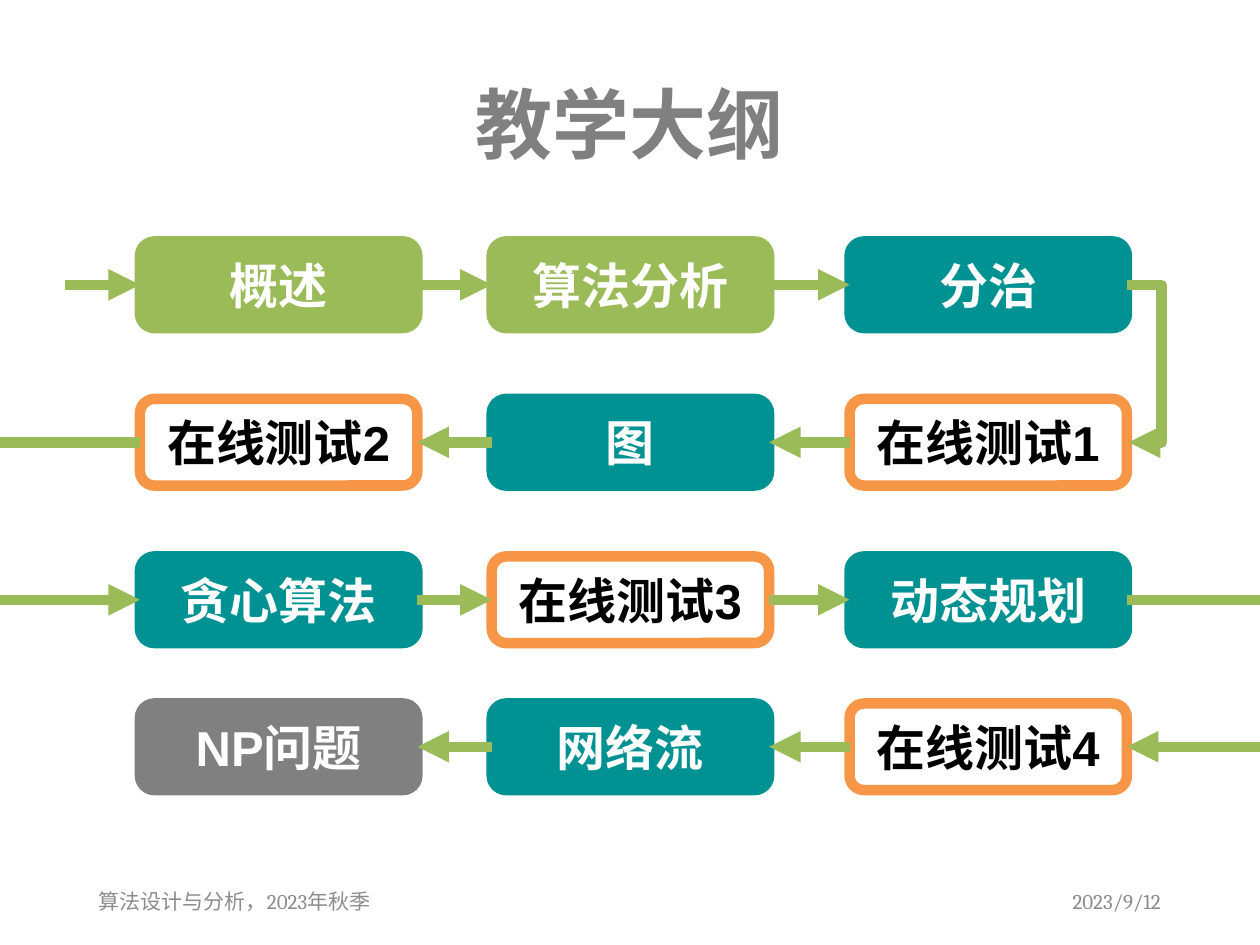
from lxml.etree import SubElement
from pptx import Presentation
from pptx.dml.color import RGBColor
from pptx.enum.shapes import MSO_CONNECTOR as CONN, MSO_SHAPE as SHAPE
from pptx.enum.text import MSO_ANCHOR as ANCHOR, PP_ALIGN as ALIGN
from pptx.oxml.ns import qn
from pptx.util import Emu, Pt

TITLE = "教学大纲"
FOOTERS = [
    ("2023/9/12", 508.5, 162, ALIGN.RIGHT),
    ("算法设计与分析，2023年秋季", 49.5, 432, ALIGN.LEFT),
]
STYLES = {
    "done": ("9BBB59", "9BBB59", "FFFFFF"),
    "topic": ("009193", "009193", "FFFFFF"),
    "last": ("808080", "808080", "FFFFFF"),
    "test": ("FFFFFF", "F79646", "000000"),
}
ROWS = [
    [("概述", "done"), ("算法分析", "done"), ("分治", "topic")],
    [("在线测试2", "test"), ("图", "topic"), ("在线测试1", "test")],
    [("贪心算法", "topic"), ("在线测试3", "test"), ("动态规划", "topic")],
    [("NP问题", "last"), ("网络流", "topic"), ("在线测试4", "test")],
]
TURNS = [(0, 2, Pt(1), 1987000), (1, 0, Emu(1), -22860000000), (2, 2, Emu(-1), -22860000000)]
COLS, TOPS = [80, 281, 485.5], [138, 228, 318, 402]
BOX_W, BOX_H, LINE_W = 158.5, 49.5, 6
ARROW = "9BBB59"
LEFT, RIGHT = 1, 3


def rgb(value):
    return RGBColor.from_string(value)


def write(sp, text, align, color, **font):
    tf = sp.text_frame
    tf.word_wrap = True
    tf.vertical_anchor = ANCHOR.MIDDLE
    p = tf.paragraphs[0]
    p.alignment = align
    r = p.add_run()
    r.text = text
    for name, value in font.items():
        setattr(r.font, name, value)
    r.font.color.rgb = rgb(color)
    return p


def add_box(shapes, text, style, x, y):
    fill, line, color = STYLES[style]
    sp = shapes.add_shape(SHAPE.ROUNDED_RECTANGLE, Pt(x), Pt(y), Pt(BOX_W), Pt(BOX_H))
    sp.shadow.inherit = False
    sp.fill.solid()
    sp.fill.fore_color.rgb = rgb(fill)
    sp.line.color.rgb = rgb(line)
    sp.line.width = Pt(LINE_W)
    write(sp, text, ALIGN.CENTER, color, size=Pt(28), name="Arial", bold=True)
    return sp


def add_arrow(shapes, kind, x, y):
    c = shapes.add_connector(kind, Pt(x), Pt(y), Pt(x), Pt(y))
    c.line.color.rgb = rgb(ARROW)
    c.line.width = Pt(LINE_W)
    sppr = c._element.spPr
    SubElement(sppr.find(qn("a:ln")), qn("a:tailEnd"), type="triangle")
    SubElement(sppr, qn("a:effectLst"))
    return c


def add_turn(shapes, start, end, side, offset, bend):
    c = add_arrow(shapes, CONN.ELBOW, 0, 0)
    c.begin_connect(start, side)
    c.end_connect(end, side)
    c.end_x = c.begin_x + offset
    guides = c._element.spPr.find(qn("a:prstGeom")).find(qn("a:avLst"))
    SubElement(guides, qn("a:gd"), name="adj1", fmla=f"val {bend}")


def main():
    """Build the course outline slide."""
    prs = Presentation()
    prs.slide_width, prs.slide_height = Pt(720), Pt(540)
    s = prs.slides.add_slide(prs.slide_layouts[5])
    shapes = s.shapes

    title = shapes.title
    title.left, title.top, title.width, title.height = Pt(49.5), Pt(42), Pt(621), Pt(62.5)
    p = write(title, TITLE, ALIGN.CENTER, "808080", size=Pt(44), name="Arial", bold=True)
    p.line_spacing = 0.9

    boxes = [
        [add_box(shapes, text, style, x, y) for (text, style), x in zip(row, COLS)]
        for row, y in zip(ROWS, TOPS)
    ]

    entry = add_arrow(shapes, CONN.STRAIGHT, 37, TOPS[0] + BOX_H / 2)
    entry.end_connect(boxes[0][0], LEFT)
    for i, row in enumerate(boxes):
        back = i % 2 == 1
        path_row = row[::-1] if back else row
        for start, end in zip(path_row, path_row[1:]):
            c = add_arrow(shapes, CONN.STRAIGHT, 0, 0)
            c.begin_connect(start, LEFT if back else RIGHT)
            c.end_connect(end, RIGHT if back else LEFT)
    for row, col, offset, bend in TURNS:
        side = RIGHT if col else LEFT
        add_turn(shapes, boxes[row][col], boxes[row + 1][col], side, offset, bend)

    for text, x, width, align in FOOTERS:
        sp = shapes.add_textbox(Pt(x), Pt(500.5), Pt(width), Pt(28.5))
        write(sp, text, align, "8C8C8C", size=Pt(12), name="Cambria")

    prs.save("out.pptx")


if __name__ == "__main__":
    main()
